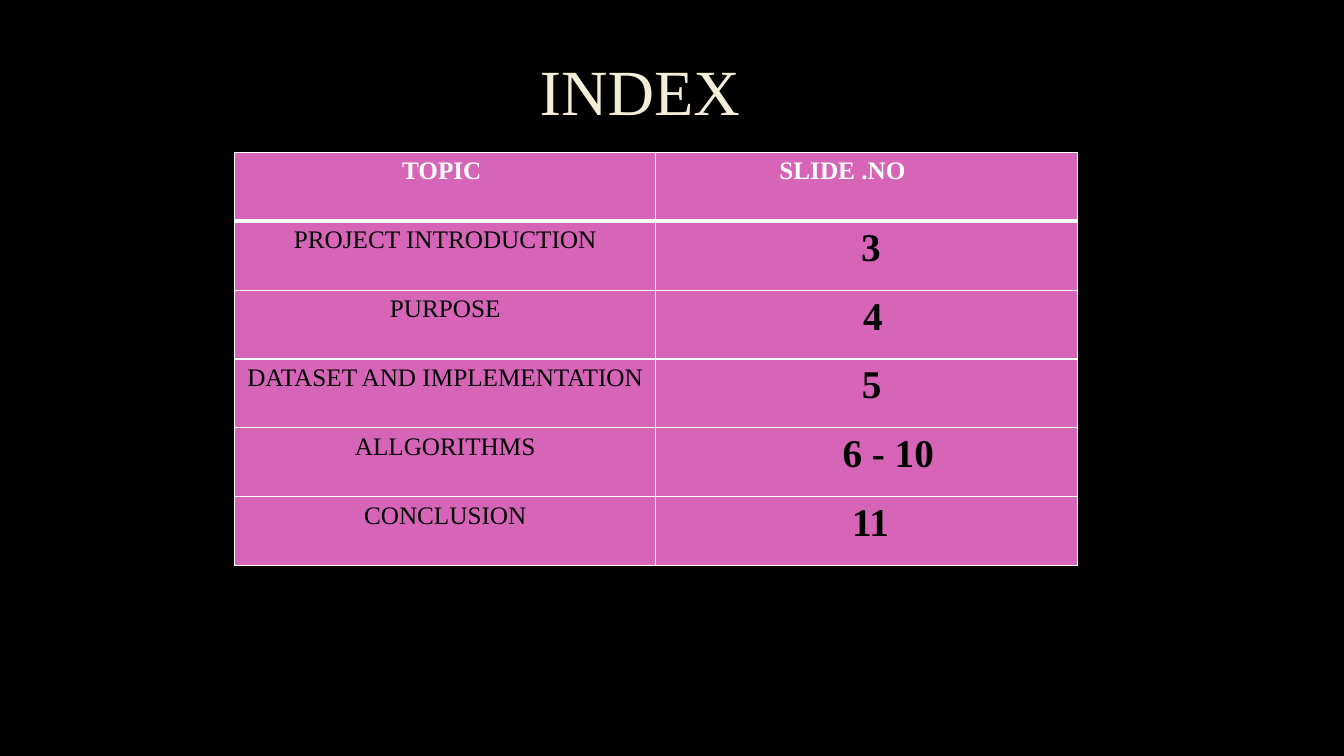
from lxml import etree
from pptx import Presentation
from pptx.dml.color import RGBColor
from pptx.enum import text
from pptx.oxml import parse_xml
from pptx.oxml.ns import nsdecls, qn
from pptx.util import Cm, Pt

FONT = "Times New Roman"
BLACK = RGBColor(0x00, 0x00, 0x00)
WHITE = RGBColor(0xFF, 0xFF, 0xFF)
CREAM = RGBColor(0xF4, 0xED, 0xD8)
PINK = RGBColor(0xD6, 0x65, 0xB7)
GREY = RGBColor(0x40, 0x40, 0x40)

# Each entry: topic, slide number, left indent of the number in cm
HEADER = [("TOPIC", 3.97), ("SLIDE .NO", 2.86)]
TOPICS = [
    ("PROJECT INTRODUCTION", "3", 4.92),
    ("PURPOSE", "4", 4.97),
    ("DATASET AND IMPLEMENTATION", "5", 4.94),
    ("ALLGORITHMS", "6 - 10", 4.45),
    ("CONCLUSION", "11", 4.69),
]


def write(tf, content, size=18, color=BLACK, bold=False, center=False, indent=0):
    p = tf.paragraphs[0]
    p.alignment = text.PP_ALIGN.CENTER if center else text.PP_ALIGN.LEFT
    if indent:
        pPr = p._p.get_or_add_pPr()
        pPr.set("marL", str(Cm(indent)))
        pPr.set("indent", "0")
    r = p.add_run()
    r.text = content
    r.font.name = FONT
    r.font.size = Pt(size)
    r.font.bold = bold
    r.font.color.rgb = color
    return p


def line_xml(tag, width, color, alpha=100):
    return parse_xml(
        f'<a:{tag} {nsdecls("a")} w="{Pt(width)}"><a:solidFill>'
        f'<a:srgbClr val="{color}"><a:alpha val="{alpha * 1000}"/></a:srgbClr>'
        f'</a:solidFill><a:prstDash val="solid"/></a:{tag}>')


def style_cell(cell, top=1, bottom=1):
    cell.fill.solid()
    cell.fill.fore_color.rgb = PINK
    tcPr = cell._tc.get_or_add_tcPr()
    widths = {"lnL": 1, "lnR": 1, "lnT": top, "lnB": bottom}
    for i, (tag, width) in enumerate(widths.items()):
        tcPr.insert(i, line_xml(tag, width, WHITE))


def add_title(s):
    sp = s.shapes.add_textbox(Cm(1.35), Cm(1.17), Cm(29.95), Cm(2.41))
    tf = sp.text_frame
    tf.word_wrap = True
    tf.vertical_anchor = text.MSO_ANCHOR.MIDDLE
    p = write(tf, "INDEX ", size=46, color=CREAM, center=True)
    p.line_spacing = 0.9
    # Faint outline around the letters
    p.runs[0].font._element.insert(0, line_xml("ln", 0.75, GREY, alpha=10))


def add_index(s):
    rows = len(TOPICS) + 1
    tbl = s.shapes.add_table(rows, 2, Cm(5.91), Cm(3.84), Cm(21.24), Cm(10.41)).table
    tbl.horz_banding = False

    # Header row with a thick rule below
    for col, (label, indent) in enumerate(HEADER):
        cell = tbl.cell(0, col)
        style_cell(cell, bottom=3)
        write(cell.text_frame, label, color=WHITE, bold=True, indent=indent)

    # Topic rows
    for row, (topic, number, indent) in enumerate(TOPICS, start=1):
        for col in range(2):
            style_cell(tbl.cell(row, col), top=3 if row == 1 else 1)
        write(tbl.cell(row, 0).text_frame, topic, center=True)
        write(tbl.cell(row, 1).text_frame, number, size=28, bold=True, indent=indent)


def main():
    prs = Presentation()
    prs.slide_width, prs.slide_height = Cm(33.87), Cm(19.05)
    s = prs.slides.add_slide(prs.slide_layouts[6])
    s.background.fill.solid()
    s.background.fill.fore_color.rgb = BLACK
    add_title(s)
    add_index(s)
    prs.save("out.pptx")


if __name__ == "__main__":
    main()
